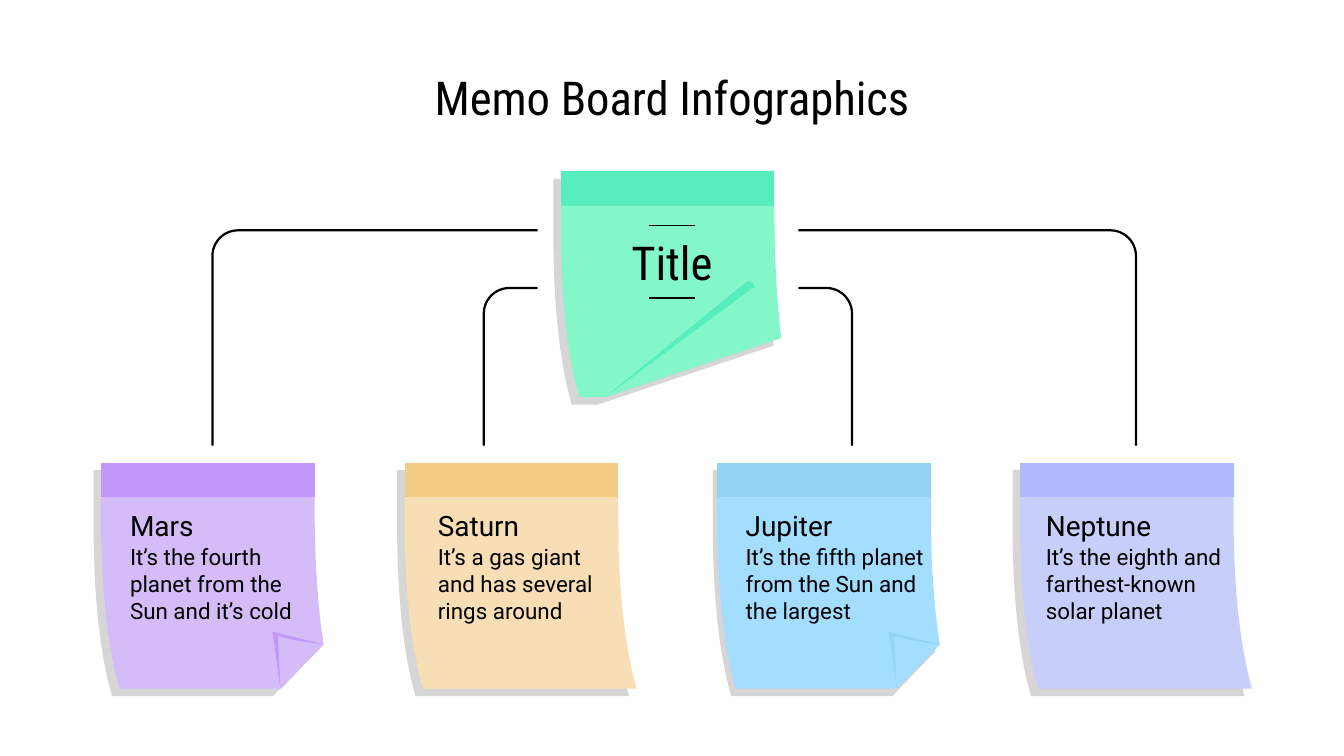
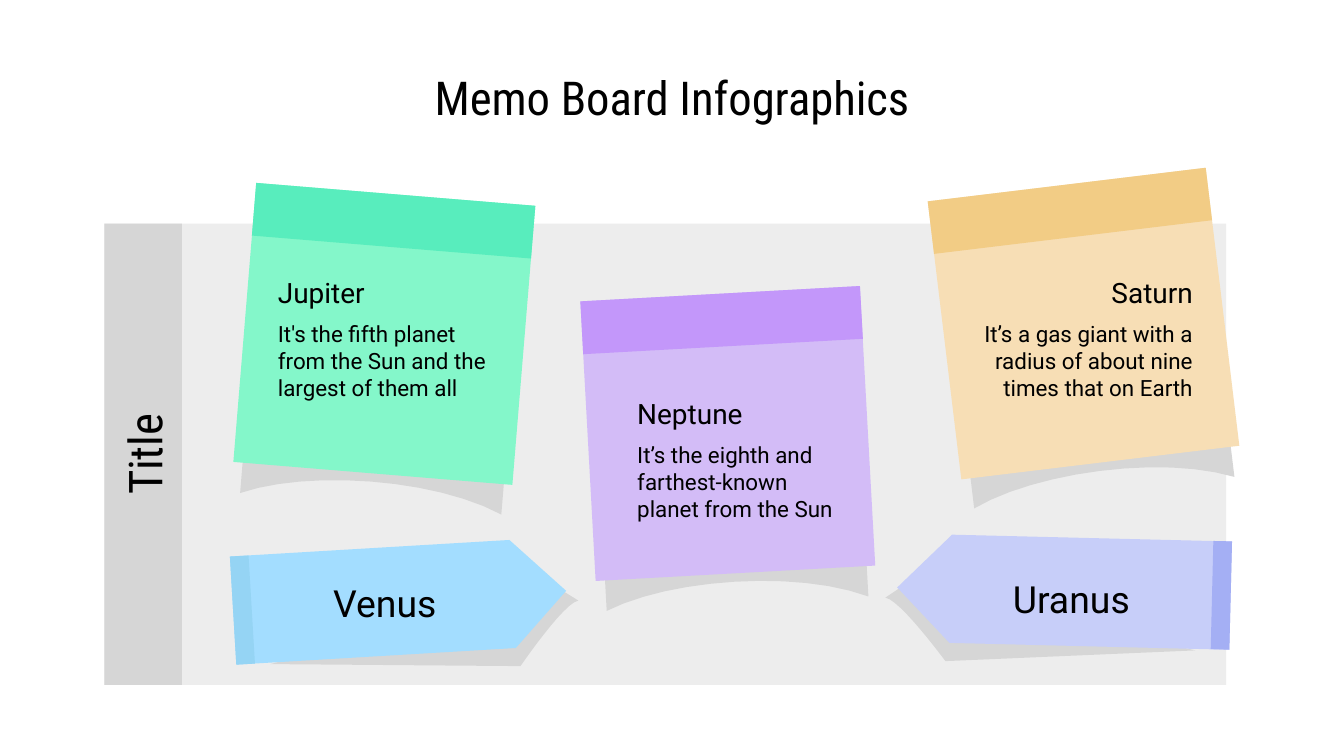
import math
from dataclasses import dataclass

import pptx
import pptx.dml.color
import pptx.enum.shapes
import pptx.enum.text
import pptx.oxml.ns
import pptx.util
from lxml import etree

Pt = pptx.util.Pt
ALIGN = pptx.enum.text.PP_ALIGN
ANCHOR = pptx.enum.text.MSO_ANCHOR


@dataclass(frozen=True)
class Theme:
    heading_font: str = "Roboto Condensed"
    body_font: str = "Roboto"
    heading_size: int = 25
    label_size: int = 20
    name_size: int = 15
    body_size: int = 12
    ink: str = "000000"
    shade: str = "D6D6D6"
    board: str = "EDEDED"
    # Each pair is the paper colour and its darker strip colour.
    green: tuple = ("84F7CA", "58EDBD")
    purple: tuple = ("D3BCF7", "C397FA")
    orange: tuple = ("F7DEB5", "F2CC85")
    blue: tuple = ("A3DDFF", "95D4F4")
    indigo: tuple = ("C7CEF9", "B0B8FF")
    deep_indigo: tuple = ("C7CEF9", "A4AFF4")


THEME = Theme()


@dataclass(frozen=True)
class Frame:
    """Local axes of one element: origin, tilt in degrees and mirroring."""
    left: float = 0
    top: float = 0
    tilt: float = 0
    mirrored: bool = False

    def place(self, x, y):
        x = -x if self.mirrored else x
        cosine, sine = math.cos(math.radians(self.tilt)), math.sin(math.radians(self.tilt))
        return (Pt(self.left + x * cosine - y * sine),
                Pt(self.top + x * sine + y * cosine))


# Outlines hold (x, y) for a line and (x1, y1, x2, y2, x, y) for a curve.
STRIP_WIDTH, STRIP_HEIGHT = 114.4, 18.5
LEFT_EDGE = [(0, STRIP_HEIGHT), (0, 33, -1, 83.5, 9.8, 121)]
TOP_RIGHT = (STRIP_WIDTH, STRIP_HEIGHT)
PAPER_EDGES = {
    "plain": [(124.2, 121), (113.6, 83.5, 114.4, 33, *TOP_RIGHT)],
    "corner": [(96.1, 121), (119.2, 97.2), (114.1, 65, 114.4, 30, *TOP_RIGHT)],
    "crease": [(23.6, 121), (118, 89.3), (114.4, 59, 114.4, 29, *TOP_RIGHT)],
}
# Each fold is a list of (colour index, outline).
FOLDS = {
    "plain": [],
    "corner": [
        (1, [(91.8, 90.7), (96.1, 121), (119.2, 97.2),
             (117.7, 97.2, 93.2, 90.7, 91.8, 90.7)]),
        (0, [(94.7, 92.9), (96.1, 121), (119.2, 97.2),
             (110.5, 96.5, 102.6, 95, 94.7, 92.9)]),
    ],
    "crease": [
        (0, [(103, 62.6), (102.2, 62.6, 101.5, 62.6, 101.5, 63.4), (23.6, 121),
             (118, 89.3), (113.8, 81.4, 109.4, 72.7, 105.8, 64.1),
             (105.1, 63.4, 104.4, 62.6, 103, 62.6)]),
        (1, [(100.8, 59), (100, 59, 99.4, 59, 98.6, 59.8), (23.6, 121),
             (101.5, 63.4), (101.5, 62.6, 102.2, 62.6, 103, 62.6), (104.4, 62.6),
             (103.7, 62, 103.7, 61.2, 103, 60.5),
             (103, 59.8, 101.5, 59, 100.8, 59)]),
    ],
}


def rectangle(width, height):
    return [(0, 0), (width, 0), (width, height), (0, height)]


def flatten(outline, steps=12):
    """Turn the curves of an outline into short straight pieces."""
    points = [outline[0]]
    for piece in outline[1:]:
        if len(piece) == 2:
            points.append(piece)
            continue
        x0, y0 = points[-1]
        x1, y1, x2, y2, x3, y3 = piece
        for step in range(1, steps + 1):
            t = step / steps
            a, b, c, d = (1 - t) ** 3, 3 * t * (1 - t) ** 2, 3 * t * t * (1 - t), t ** 3
            points.append((a * x0 + b * x1 + c * x2 + d * x3,
                           a * y0 + b * y1 + c * y2 + d * y3))
    return points


def rgb(colour):
    return pptx.dml.color.RGBColor.from_string(colour)


def paint(shape, fill=None, line_width=None):
    shape.shadow.inherit = False
    if fill:
        shape.fill.solid()
        shape.fill.fore_color.rgb = rgb(fill)
    else:
        shape.fill.background()
    if line_width:
        shape.line.color.rgb = rgb(THEME.ink)
        shape.line.width = Pt(line_width)
    else:
        shape.line.fill.background()


def draw(shapes, outline, frame=Frame(), fill=None, line_width=None):
    points = [frame.place(x, y) for x, y in flatten(outline)]
    builder = shapes.build_freeform(*points[0], scale=1.0)
    builder.add_line_segments(points[1:], close=fill is not None)
    paint(builder.convert_to_shape(), fill, line_width)


def add_text(page, text, left, top, width, height, *, size=THEME.body_size,
             font=THEME.body_font, align=ALIGN.LEFT, anchor=ANCHOR.MIDDLE, rotation=0):
    box = page.shapes.add_textbox(Pt(left), Pt(top), Pt(width), Pt(height))
    box.rotation = rotation
    frame = box.text_frame
    frame.word_wrap = True
    frame.vertical_anchor = anchor
    frame.margin_left = frame.margin_right = Pt(7.2)
    frame.margin_top = frame.margin_bottom = Pt(7.2)
    para = frame.paragraphs[0]
    para.alignment = align
    span = para.add_run()
    span.text = text
    span.font.size = Pt(size)
    span.font.name = font
    span.font.color.rgb = rgb(THEME.ink)


def add_heading(page, text, left, top, width, **options):
    add_text(page, text, left, top, width, 31.7, size=THEME.heading_size,
             font=THEME.heading_font, align=ALIGN.CENTER, **options)


def add_page(deck):
    page = deck.slides.add_slide(deck.slide_layouts[6])
    add_heading(page, "Memo Board Infographics", 56, 36, 608)
    return page


def add_curled_note(page, left, top, colours, fold="plain", shade_shift=-4):
    shapes = page.shapes.add_group_shape().shapes
    frame = Frame(left, top)
    paper = LEFT_EDGE + PAPER_EDGES[fold]
    silhouette = [(0, 0)] + paper + [(STRIP_WIDTH, 0)]
    draw(shapes, silhouette, Frame(left + shade_shift, top + 4), THEME.shade)
    draw(shapes, rectangle(STRIP_WIDTH, STRIP_HEIGHT), frame, colours[1])
    draw(shapes, paper, frame, colours[0])
    for tone, outline in FOLDS[fold]:
        draw(shapes, outline, frame, colours[tone])


def add_tilted_note(page, frame, colours):
    shapes = page.shapes.add_group_shape().shapes
    shade = [(5, 143), (5, 166.3), (40, 151, 108, 150, 145.4, 166.3), (145.4, 143)]
    draw(shapes, shade, frame, THEME.shade)
    draw(shapes, rectangle(150, 150), frame, colours[0])
    draw(shapes, rectangle(150, 28.3), frame, colours[1])


def add_arrow_note(page, frame, colours):
    shapes = page.shapes.add_group_shape().shapes
    shade = [(175.7, 28.1), (184.9, 34.6),
             (177, 35.4, 151.9, 67.8, 151.9, 67.8), (18.1, 58.8)]
    draw(shapes, shade, frame, THEME.shade)
    draw(shapes, [(0, 0), (150, 0), (178.7, 29), (150, 58), (0, 58)], frame, colours[0])
    draw(shapes, rectangle(10, 58), frame, colours[1])


def add_branch(page, start, end, top, bottom=238.8, radius=13.7):
    """Draw a line that runs sideways, then turns down round a corner."""
    turn = end - math.copysign(radius, end - start)
    bend = 0.45 * radius
    draw(page.shapes, [(start, top), (turn, top),
                       (end - math.copysign(bend, end - start), top,
                        end, top + bend, end, top + radius),
                       (end, bottom)], line_width=1.19)


def add_rule(page, left, right, top):
    rule = page.shapes.add_connector(pptx.enum.shapes.MSO_CONNECTOR.STRAIGHT,
                                     Pt(left), Pt(top), Pt(right), Pt(top))
    rule.line.color.rgb = rgb(THEME.ink)
    rule.line.width = Pt(0.81)
    etree.SubElement(rule.element.spPr, pptx.oxml.ns.qn("a:effectLst"))


def add_panel(page, width, fill):
    panel = page.shapes.add_shape(pptx.enum.shapes.MSO_SHAPE.RECTANGLE,
                                  Pt(55.9), Pt(119.8), Pt(width), Pt(247.2))
    paint(panel, fill)


def build_tree_page(deck):
    page = add_page(deck)
    add_curled_note(page, 300.5, 91.8, THEME.green, "crease")
    for top in (120.8, 159.6):
        add_rule(page, 347.8, 372.2, top)
    for start, end, top in ((427.7, 456.5, 154.3), (427.7, 608.6, 123.4),
                            (288, 259.2, 154.3), (288, 113.8, 123.4)):
        add_branch(page, start, end, top)
    add_heading(page, "Title", 298.8, 124.6, 122.4)
    planets = (
        (54.2, 62.6, THEME.purple, "corner", -4, "Mars",
         "It’s the fourth planet from the Sun and it’s cold"),
        (216.8, 227.5, THEME.orange, "plain", -4, "Saturn",
         "It’s a gas giant and has several rings around"),
        (384.3, 392.4, THEME.blue, "corner", -2.4, "Jupiter",
         "It’s the fifth planet from the Sun and the largest"),
        (546.5, 553.2, THEME.indigo, "plain", -4, "Neptune",
         "It’s the eighth and farthest-known solar planet"),
    )
    for left, text_left, colours, fold, shift, name, fact in planets:
        add_curled_note(page, left, 247.9, colours, fold, shift)
        add_text(page, name, text_left, 271, 110.9, 20.9, size=THEME.name_size)
        add_text(page, fact, text_left, 291.2, 110.9, 50.4, anchor=ANCHOR.BOTTOM)


def build_board_page(deck):
    page = add_page(deck)
    add_panel(page, 601, THEME.board)
    add_panel(page, 41.6, THEME.shade)
    add_heading(page, "Title", 15.8, 227.5, 122.4, rotation=270)
    notes = (
        (Frame(497, 107.9, -6.9), THEME.orange, 517.2, 146.2, ALIGN.RIGHT, "Saturn",
         "It’s a gas giant with a radius of about nine times that on Earth"),
        (Frame(137.3, 98, 4.7), THEME.green, 141.8, 146.2, ALIGN.LEFT, "Jupiter",
         "It's the fifth planet from the Sun and the largest of them all"),
        (Frame(310.9, 161.5, -3.15), THEME.purple, 334.3, 211, ALIGN.LEFT, "Neptune",
         "It’s the eighth and farthest-known planet from the Sun"),
    )
    for frame, colours, left, top, align, name, fact in notes:
        add_tilted_note(page, frame, colours)
        add_text(page, name, left, top, 128.9, 20.9, size=THEME.name_size, align=align)
        add_text(page, fact, left, top + 23.7, 128.9, 46.8, align=align)
    arrows = (
        (Frame(123.2, 298.2, -3.4), THEME.blue, 137.4, 312.5, "Venus"),
        (Frame(660, 290.1, 1.4, mirrored=True), THEME.deep_indigo, 505.2, 310, "Uranus"),
    )
    for frame, colours, left, top, name in arrows:
        add_arrow_note(page, frame, colours)
        add_text(page, name, left, top, 137.5, 20.9, size=THEME.label_size,
                 align=ALIGN.CENTER)


def main():
    deck = pptx.Presentation()
    deck.slide_width, deck.slide_height = Pt(720), Pt(405)
    build_tree_page(deck)
    build_board_page(deck)
    deck.save("out.pptx")


if __name__ == "__main__":
    main()
